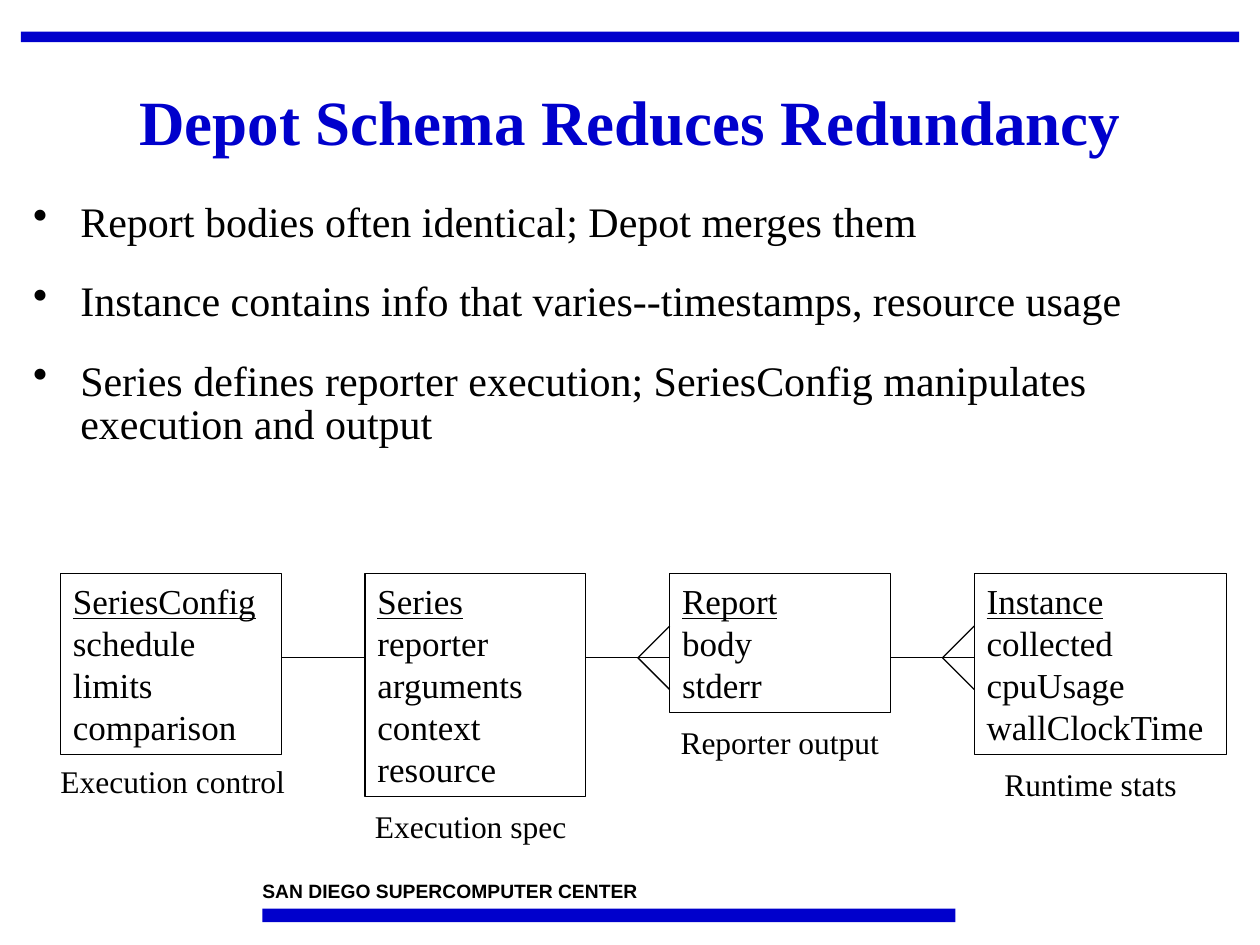
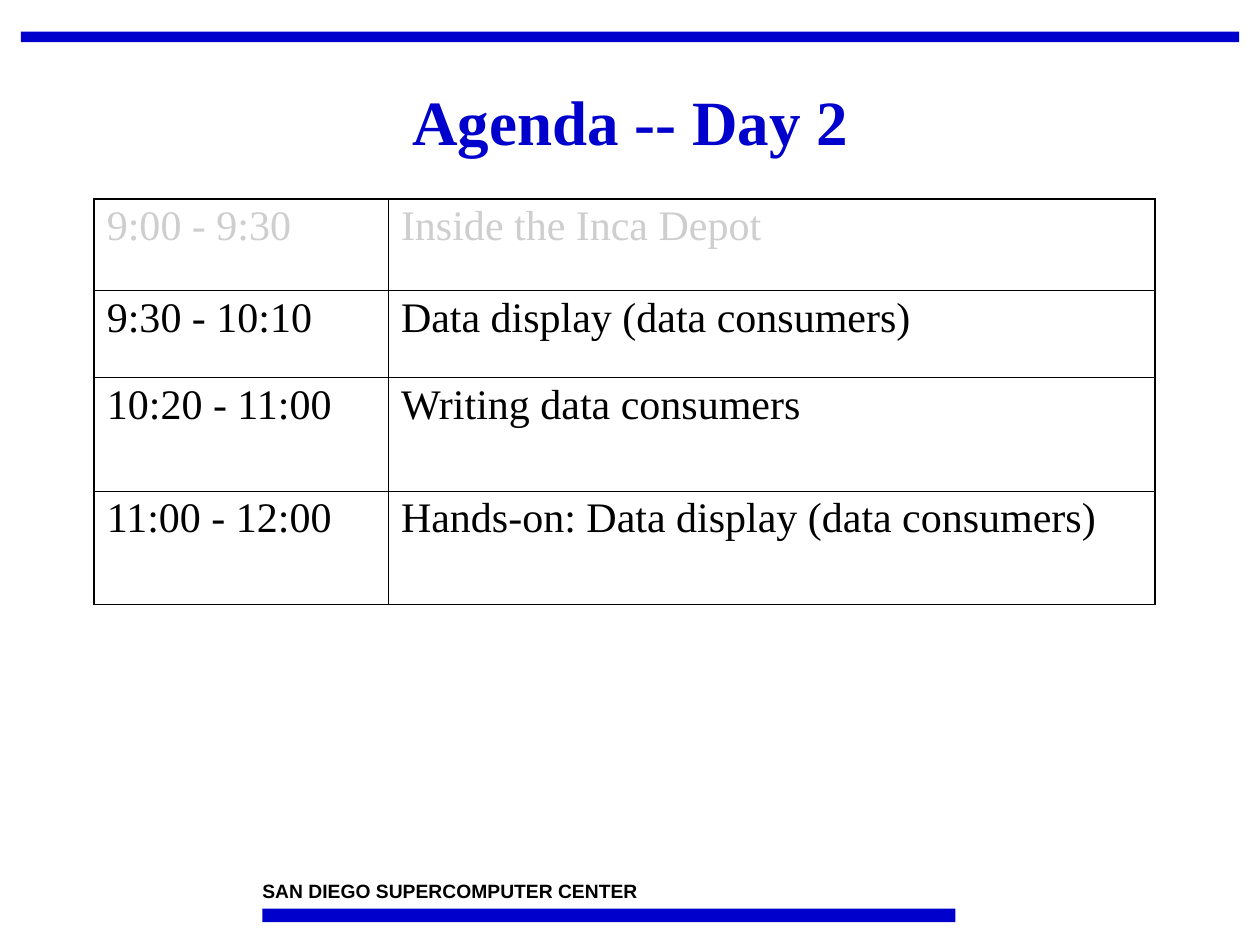
from collections import namedtuple
from dataclasses import dataclass

from lxml import etree
from pptx import Presentation
from pptx import util as u
from pptx.dml import color
from pptx.enum import shapes, text
from pptx.oxml import ns

Box = namedtuple("Box", "left top width height")
Entity = namedtuple("Entity", "width lines fields caption caption_left caption_gap")


@dataclass(frozen=True)
class Theme:
    blue: str = "0000CC"
    black: str = "000000"
    grey: str = "CECECE"
    serif: str = "Times New Roman"
    sans: str = "Arial"
    title: int = 36
    body: int = 24
    entity: int = 20
    caption: int = 18
    footer: int = 11
    line: float = 0.75
    outer_border: float = 1.08
    inner_border: float = 0.45


THEME = Theme()

# Lengths in centimetres
SLIDE_SIZE = (25.4, 19.05)
TOP_BAND = Box(0.42, 0.64, 24.56, 0.21)
BOTTOM_BAND = Box(5.29, 18.32, 13.97, 0.27)
FOOTER = Box(5.29, 17.73, 9.53, 0.47)
TITLE = Box(0.42, 1.07, 24.56, 2.9)
BULLETS = Box(0.42, 3.97, 24.56, 7.46)
DIAGRAM = Box(1.22, 11.56, 23.5, 5.6)
AGENDA = Box(1.9, 4.01, 21.38, 8.18)

REPORT_POINTS = [
    "Report bodies often identical; Depot merges them",
    "Instance contains info that varies--timestamps, resource usage",
    "Series defines reporter execution; SeriesConfig manipulates execution and output",
]
ENTITIES = [
    Entity(4.45, 4, ["SeriesConfig", "schedule limits", "comparison"],
           "Execution control", -0.25, 0.03),
    Entity(4.45, 5, ["Series", "reporter", "arguments", "context", "resource"],
           "Execution spec", -0.05, 0.09),
    Entity(4.45, 3, ["Report", "body", "stderr"], "Reporter output", -0.03, 0.09),
    Entity(5.08, 4, ["Instance", "collected", "cpuUsage", "wallClockTime"],
           "Runtime stats", 0.36, 0.09),
]
SESSIONS = [
    ("9:00 - 9:30", "Inside the Inca Depot"),
    ("9:30 - 10:10", "Data display (data consumers)"),
    ("10:20 - 11:00", "Writing data consumers"),
    ("11:00 - 12:00", "Hands-on: Data display (data consumers)"),
]


def cm(*lengths):
    return [u.Cm(length) for length in lengths]


def rgb(code):
    return color.RGBColor.from_string(code)


def set_all(target, values):
    for name, value in values.items():
        setattr(target, name, value)


def write(paragraph, words, size, ink=THEME.black, layout=None, **font):
    """Fill one paragraph and give it its paragraph and font formats."""
    run = paragraph.add_run()
    run.text = words
    set_all(paragraph, layout or {})
    set_all(run.font, {"name": THEME.serif, "size": u.Pt(size), **font})
    run.font.color.rgb = rgb(ink)


def paragraphs(frame, count):
    return [frame.paragraphs[0]] + [frame.add_paragraph() for _ in range(count - 1)]


def add_text_box(slide, box):
    shape = slide.shapes.add_textbox(*cm(*box))
    shape.text_frame.word_wrap = True
    return shape


def add_rectangle(slide, box):
    shape = slide.shapes.add_shape(shapes.MSO_SHAPE.RECTANGLE, *cm(*box))
    shape.shadow.inherit = False
    return shape


def add_line(parent, start, end):
    line = parent.add_connector(shapes.MSO_CONNECTOR.STRAIGHT, *cm(*start, *end))
    line.line.color.rgb = rgb(THEME.black)
    line.line.width = u.Pt(THEME.line)
    etree.SubElement(line.element.spPr, ns.qn("a:effectLst"))


# Shared parts
def move_frame_to_layout(slide):
    """Draw the bands and footer, then hand them to the layout."""
    layout = slide.slide_layout
    title = layout.placeholders[0]
    for placeholder in list(layout.placeholders)[1:]:
        placeholder.element.getparent().remove(placeholder.element)

    parts = [add_rectangle(slide, band) for band in (TOP_BAND, BOTTOM_BAND)]
    for band in parts:
        band.fill.solid()
        band.fill.fore_color.rgb = rgb(THEME.blue)
        band.line.fill.background()

    footer = add_text_box(slide, FOOTER)
    set_all(footer.text_frame, dict.fromkeys(
        ["margin_left", "margin_right", "margin_top", "margin_bottom"], 0))
    write(footer.text_frame.paragraphs[0], "SAN DIEGO SUPERCOMPUTER CENTER",
          THEME.footer, name=THEME.sans, bold=True)

    for part in parts + [footer]:
        title.element.getparent().append(part.element)


def add_title(slide, words, box):
    title = slide.shapes.title
    set_all(title, dict(zip(Box._fields, cm(*box))))
    set_all(title.text_frame, {"auto_size": text.MSO_AUTO_SIZE.NONE,
                               "vertical_anchor": text.MSO_ANCHOR.MIDDLE})
    write(title.text_frame.paragraphs[0], words, THEME.title, THEME.blue,
          {"alignment": text.PP_ALIGN.CENTER, "line_spacing": 0.9}, bold=True)


# Bullet list
def add_bullet(paragraph):
    properties = paragraph._p.get_or_add_pPr()
    properties.set("marL", str(u.Cm(0.95)))
    properties.set("indent", str(-u.Cm(0.95)))
    ink = etree.SubElement(properties, ns.qn("a:buClr"))
    etree.SubElement(ink, ns.qn("a:srgbClr"), val=THEME.black)
    etree.SubElement(properties, ns.qn("a:buChar"), char="•")


def add_bullets(slide, points, box):
    frame = add_text_box(slide, box).text_frame
    for index, (paragraph, point) in enumerate(zip(paragraphs(frame, len(points)), points)):
        add_bullet(paragraph)
        write(paragraph, point, THEME.body, layout={
            "line_spacing": 0.85, "space_before": u.Pt(21 if index else 0)})


# Entity diagram
def add_entity(slide, entity, left, top):
    height = 0.25 + 0.85 * entity.lines
    shape = add_rectangle(slide, Box(left, top, entity.width, height))
    shape.fill.background()
    shape.line.color.rgb = rgb(THEME.black)
    shape.line.width = u.Pt(THEME.line)
    frame = shape.text_frame
    set_all(frame, {"word_wrap": True, "vertical_anchor": text.MSO_ANCHOR.TOP})
    for index, (paragraph, field) in enumerate(
            zip(paragraphs(frame, len(entity.fields)), entity.fields)):
        write(paragraph, field, THEME.entity, underline=index == 0,
              layout={"alignment": text.PP_ALIGN.LEFT})

    caption = add_text_box(slide, Box(left + entity.caption_left,
                                      top + height + entity.caption_gap, 5.4, 1.02))
    write(caption.text_frame.paragraphs[0], entity.caption, THEME.caption)


def add_crows_foot(slide, left, right, y, spread=0.64):
    group = slide.shapes.add_group_shape().shapes
    add_line(group, (right, y), (left, y))
    for offset in (spread, -spread):
        add_line(group, (right - spread, y), (right, y + offset))


def add_diagram(slide, entities, box, pitch=6.14, link_drop=1.7):
    y = box.top + link_drop
    lefts = [box.left + pitch * index for index in range(len(entities))]
    for entity, left in zip(entities, lefts):
        add_entity(slide, entity, left, box.top)
    for index, (entity, left) in enumerate(zip(entities[:-1], lefts)):
        start, end = left + entity.width, lefts[index + 1]
        if index == 0:
            add_line(slide.shapes, (start, y), (end, y))
        else:
            add_crows_foot(slide, start, end, y)


# Agenda table
def set_borders(cell, widths):
    properties = cell._tc.get_or_add_tcPr()
    for index, (side, width) in enumerate(zip("LRTB", widths)):
        border = etree.Element(ns.qn(f"a:ln{side}"), w=str(u.Pt(width)))
        fill = etree.SubElement(border, ns.qn("a:solidFill"))
        etree.SubElement(fill, ns.qn("a:srgbClr"), val=THEME.black)
        properties.insert(index, border)


def add_agenda(slide, sessions, box):
    table = slide.shapes.add_table(len(sessions), 2, *cm(*box)).table
    set_all(table, {"first_row": False, "horz_banding": False})
    for column, width in zip(table.columns, cm(5.93, 15.45)):
        column.width = width
    for row, height in zip(table.rows, cm(1.85, 1.75, 2.29, 2.29)):
        row.height = height

    outer, inner = THEME.outer_border, THEME.inner_border
    for row, session in enumerate(sessions):
        for column, words in enumerate(session):
            cell = table.cell(row, column)
            cell.fill.background()
            set_borders(cell, (inner if column else outer, outer if column else inner,
                               inner if row else outer, inner))
            write(cell.text_frame.paragraphs[0], words, THEME.body,
                  THEME.black if row else THEME.grey, {"line_spacing": 0.95})


# Slides
def add_slide(presentation, title):
    slide = presentation.slides.add_slide(presentation.slide_layouts[5])
    add_title(slide, title, TITLE)
    return slide


def main():
    presentation = Presentation()
    presentation.slide_width, presentation.slide_height = cm(*SLIDE_SIZE)

    schema = add_slide(presentation, "Depot Schema Reduces Redundancy")
    move_frame_to_layout(schema)
    add_bullets(schema, REPORT_POINTS, BULLETS)
    add_diagram(schema, ENTITIES, DIAGRAM)

    agenda = add_slide(presentation, "Agenda -- Day 2")
    add_agenda(agenda, SESSIONS, AGENDA)

    presentation.save("out.pptx")


if __name__ == "__main__":
    main()
